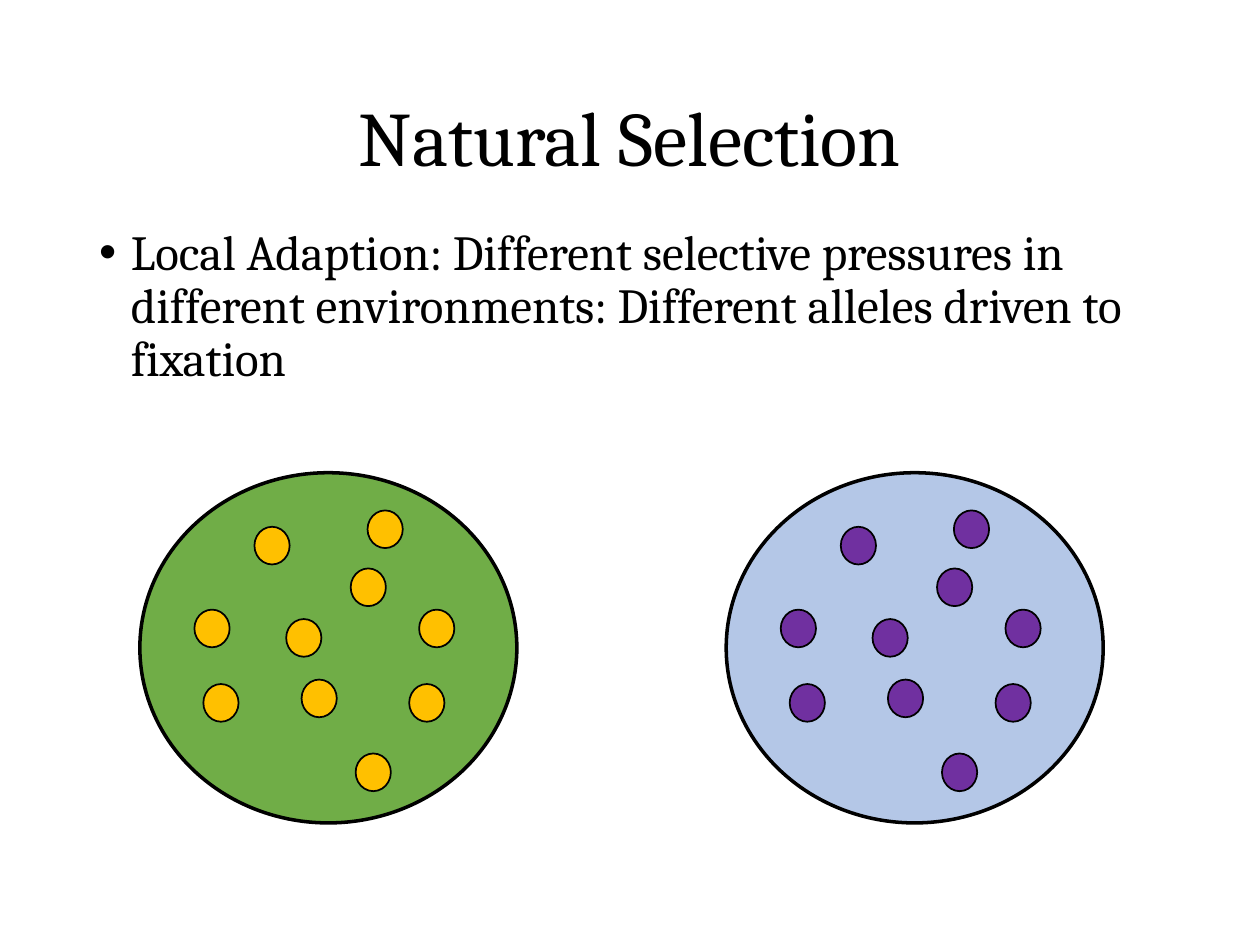
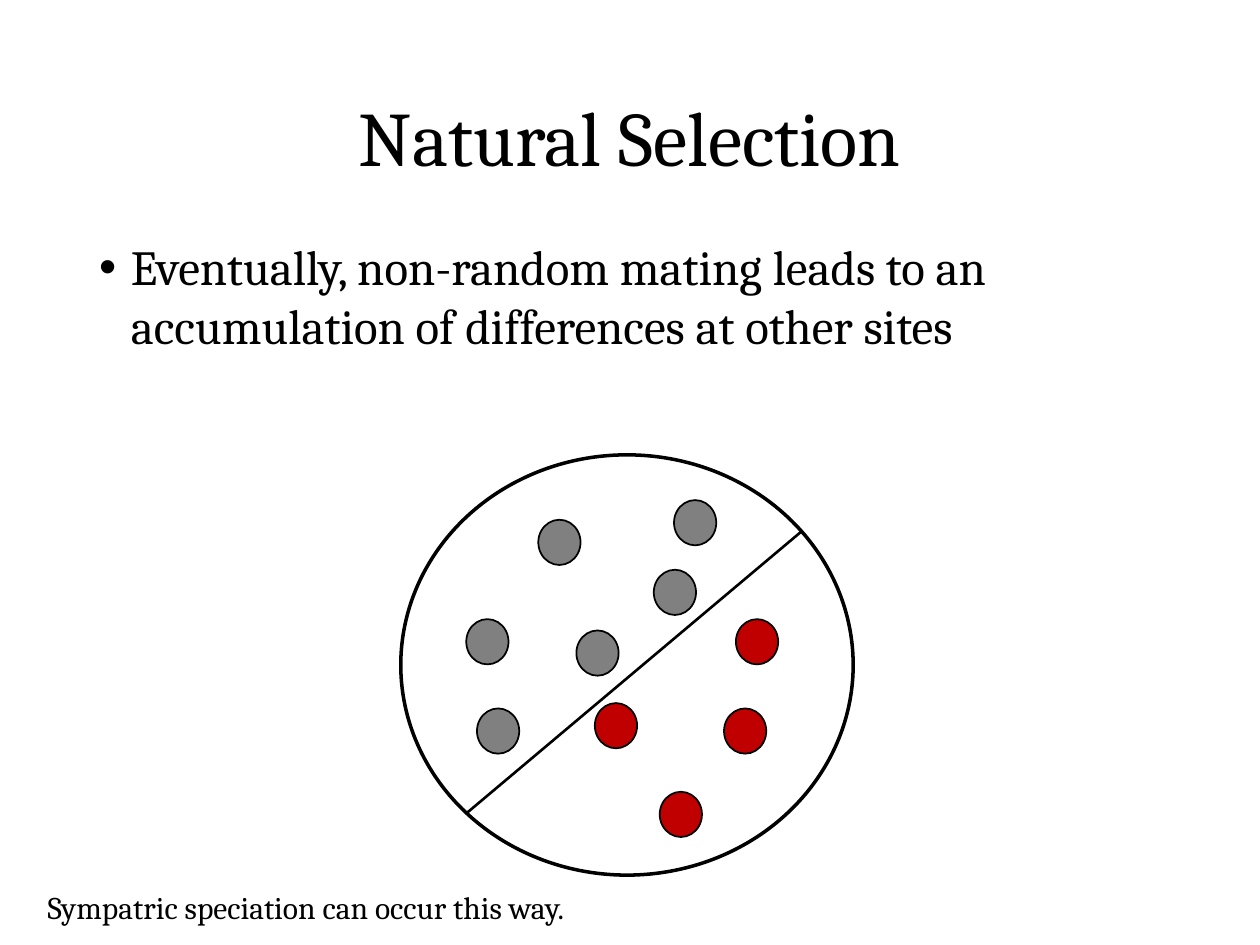
from lxml import etree
from pptx import Presentation
from pptx.dml.color import RGBColor
from pptx.enum.shapes import MSO_CONNECTOR, MSO_SHAPE
from pptx.enum.text import MSO_ANCHOR, MSO_AUTO_SIZE, PP_ALIGN
from pptx.oxml.ns import qn
from pptx.util import Cm, Pt

OVAL, STRAIGHT = MSO_SHAPE.OVAL, MSO_CONNECTOR.STRAIGHT
MIDDLE, CENTER = MSO_ANCHOR.MIDDLE, PP_ALIGN.CENTER
NO_FIT, GROW = MSO_AUTO_SIZE.NONE, MSO_AUTO_SIZE.SHAPE_TO_FIT_TEXT

BLACK = RGBColor(0x00, 0x00, 0x00)
GREEN = RGBColor(0x70, 0xAD, 0x47)
GOLD = RGBColor(0xFF, 0xC0, 0x00)
LIGHT_BLUE = RGBColor(0xB4, 0xC7, 0xE7)
PURPLE = RGBColor(0x70, 0x30, 0xA0)
GRAY = RGBColor(0x80, 0x80, 0x80)
RED = RGBColor(0xC0, 0x00, 0x00)

FONT = "Cambria"
LEFT, WIDTH = 1.75, 21.9

# Sizes and offsets in cm, for a population drawn at scale 1
HABITAT_SIZE = (7.6, 7.06)
ALLELE_SIZE = (0.71, 0.76)
UPPER_ALLELES = [(2.31, 1.09), (4.25, 1.93), (2.95, 2.95),
                 (1.28, 4.26), (4.59, 0.76), (1.1, 2.76)]
LOWER_ALLELES = [(5.43, 4.26), (5.63, 2.76), (3.26, 4.17), (4.35, 5.66)]


def format_text(tf, size):
    for p in tf.paragraphs:
        for r in p.runs:
            r.font.name = FONT
            r.font.size = Pt(size)
            r.font.color.rgb = BLACK


def add_titled_slide(prs, title):
    s = prs.slides.add_slide(prs.slide_layouts[5])
    sp = s.shapes.title
    sp.left, sp.top, sp.width, sp.height = Cm(LEFT), Cm(1.02), Cm(WIDTH), Cm(3.68)
    tf = sp.text_frame
    tf.text = title
    tf.auto_size = NO_FIT
    tf.vertical_anchor = MIDDLE
    p = tf.paragraphs[0]
    p.alignment = CENTER
    p.line_spacing = 0.9
    format_text(tf, 44)
    return s


def add_text(s, text, left, top, width, height, size):
    tf = s.shapes.add_textbox(Cm(left), Cm(top), Cm(width), Cm(height)).text_frame
    tf.text = text
    tf.word_wrap = True
    format_text(tf, size)
    return tf


def add_bullet(s, text, top, height, line_spacing):
    tf = add_text(s, text, LEFT, top, WIDTH, height, 28)
    p = tf.paragraphs[0]
    p.line_spacing = line_spacing
    pPr = p._p.get_or_add_pPr()
    pPr.set("marL", str(Cm(0.64)))
    pPr.set("indent", str(-Cm(0.64)))
    etree.SubElement(pPr, qn("a:buFont")).set("typeface", "Arial")
    etree.SubElement(pPr, qn("a:buChar")).set("char", "•")


def add_oval(group, left, top, size, fill, line_width):
    width, height = size
    sp = group.shapes.add_shape(OVAL, Cm(left), Cm(top), Cm(width), Cm(height))
    sp.shadow.inherit = False
    if fill is None:
        sp.fill.background()
    else:
        sp.fill.solid()
        sp.fill.fore_color.rgb = fill
    sp.line.color.rgb = BLACK
    sp.line.width = Pt(line_width)


def add_population(s, left, top, habitat, upper, lower, scale=1):
    """Draw a habitat with its upper and lower alleles as one group."""
    group = s.shapes.add_group_shape()
    add_oval(group, left, top, [scale * d for d in HABITAT_SIZE], habitat, 2)
    allele_size = [scale * d for d in ALLELE_SIZE]
    for offsets, color in ((UPPER_ALLELES, upper), (LOWER_ALLELES, lower)):
        for x, y in offsets:
            add_oval(group, left + scale * x, top + scale * y, allele_size, color, 1)


def add_divider(s, x1, y1, x2, y2):
    line = s.shapes.add_connector(STRAIGHT, Cm(x1), Cm(y1), Cm(x2), Cm(y2))
    line.line.color.rgb = BLACK
    line.line.width = Pt(1.5)
    etree.SubElement(line._element.spPr, qn("a:effectLst"))


def main():
    prs = Presentation()
    prs.slide_width, prs.slide_height = Cm(25.4), Cm(19.05)

    s = add_titled_slide(prs, "Natural Selection")
    add_population(s, 2.82, 9.53, GREEN, GOLD, GOLD)
    add_population(s, 14.64, 9.53, LIGHT_BLUE, PURPLE, PURPLE)
    add_bullet(s, "Local Adaption: Different selective pressures in different "
                  "environments: Different alleles driven to fixation", 4.47, 3.66, 0.9)

    s = add_titled_slide(prs, "Natural Selection")
    add_bullet(s, "Eventually, non-random mating leads to an accumulation of "
                  "differences at other sites", 4.65, 3.35, 1.0)
    add_population(s, 8.08, 9.17, None, GRAY, RED, scale=1.2)
    add_divider(s, 9.42, 16.38, 16.15, 10.72)
    tf = add_text(s, "Sympatric speciation can occur this way.", 0.71, 17.78, 12.9, 1.02, 18)
    tf.auto_size = GROW

    prs.save("out.pptx")


if __name__ == "__main__":
    main()
